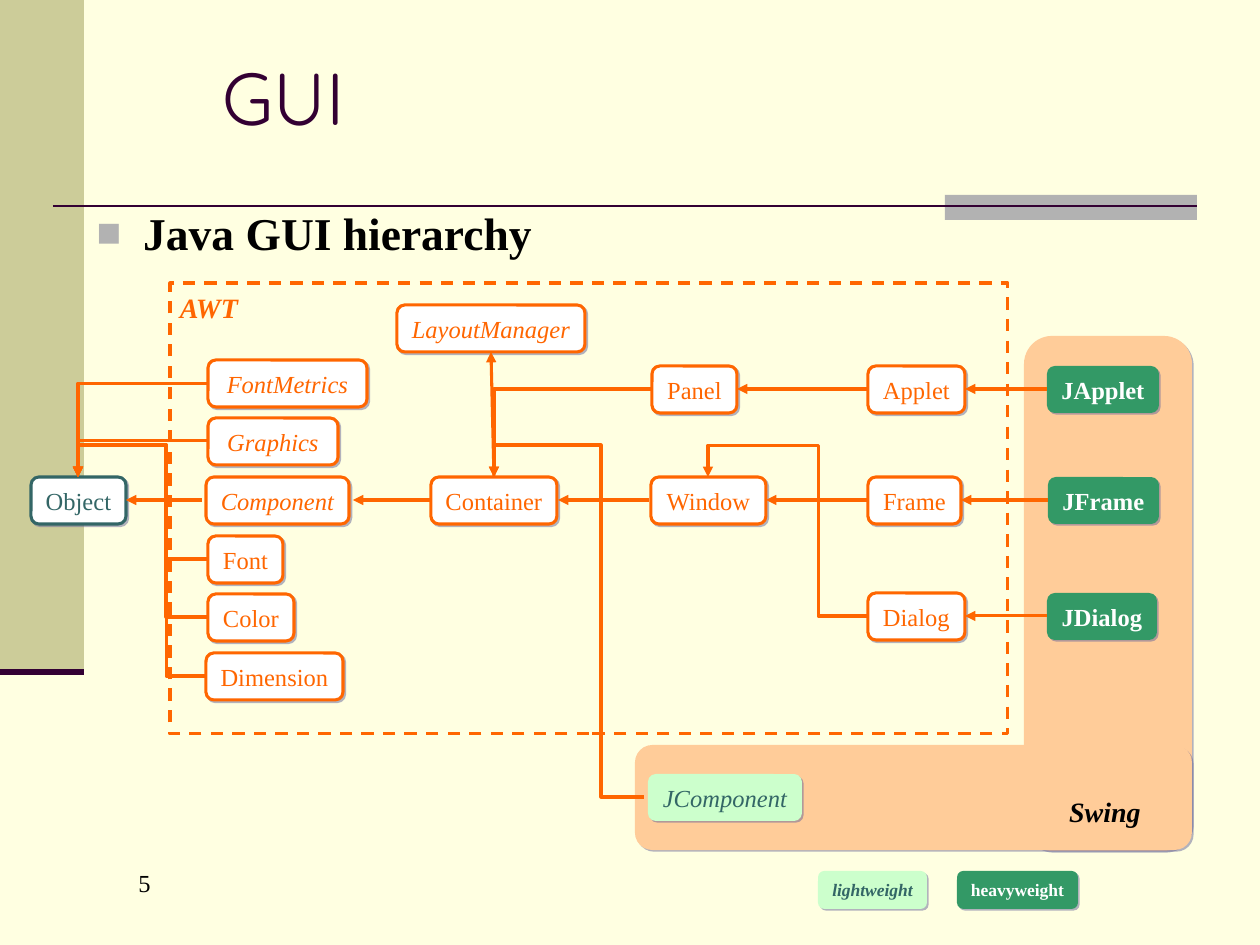
from dataclasses import dataclass

from lxml.etree import SubElement
from pptx import Presentation
from pptx.dml.color import RGBColor
from pptx.enum.dml import MSO_LINE
from pptx.enum.shapes import MSO_CONNECTOR, MSO_SHAPE
from pptx.enum.text import MSO_ANCHOR, MSO_AUTO_SIZE, PP_ALIGN
from pptx.oxml.ns import qn
from pptx.util import Emu, Inches, Pt

PIXEL = 914400 // 126


@dataclass(frozen=True)
class Theme:
    paper: str = "FFFFE1"
    olive: str = "CCCC99"
    grey: str = "B2B2B2"
    plum: str = "330033"
    ink: str = "000000"
    white: str = "FFFFFF"
    orange: str = "FF6600"
    peach: str = "FFCC99"
    teal: str = "336666"
    mint: str = "CCFFCC"
    green: str = "339966"
    shade: str = "666699"
    serif: str = "Times New Roman"
    display: str = "Quicksand"
    title_size: float = 42
    body_size: float = 26
    group_size: float = 16
    node_size: float = 14
    legend_size: float = 10
    stroke: float = 1.76


THEME = Theme()


def px(value):
    return Emu(round(value * PIXEL))


def write(shape, text, size=THEME.node_size, color=THEME.ink, font=THEME.serif,
          bold=False, italic=False, align=PP_ALIGN.LEFT, anchor=MSO_ANCHOR.TOP, wrap=False):
    frame = shape.text_frame
    frame.word_wrap = wrap
    frame.auto_size = MSO_AUTO_SIZE.NONE
    frame.vertical_anchor = anchor
    paragraph = frame.paragraphs[0]
    paragraph.alignment = align
    run = paragraph.add_run()
    run.text = text
    run.font.size = Pt(size)
    run.font.name = font
    run.font.bold = bold
    run.font.italic = italic
    run.font.color.rgb = RGBColor.from_string(color)
    return paragraph


class HierarchySlide:
    def __init__(self, theme, slide):
        self.theme = theme
        self.slide = slide
        background = slide.background.fill
        background.solid()
        background.fore_color.rgb = RGBColor.from_string(theme.paper)

    def placeholder(self, index, area, text, **style):
        holder = self.slide.placeholders[index]
        holder.left, holder.top, holder.width, holder.height = map(px, area)
        return write(holder, text, wrap=True, **style)

    def bullet(self, paragraph):
        paragraph.space_before = Pt(6.5)
        properties = paragraph._p.get_or_add_pPr()
        properties.set("marL", str(Inches(0.37)))
        properties.set("indent", str(-Inches(0.37)))
        color = SubElement(properties, qn("a:buClr"))
        SubElement(color, qn("a:srgbClr"), val=self.theme.grey)
        SubElement(properties, qn("a:buSzPct"), val="90000")
        SubElement(properties, qn("a:buChar"), char="■")

    def label(self, area, text, **style):
        write(self.slide.shapes.add_textbox(*map(px, area)), text, **style)

    def panel(self, area, fill=None, line=None, rounded=False, shadow=False, dash=None):
        kind = MSO_SHAPE.ROUNDED_RECTANGLE if rounded else MSO_SHAPE.RECTANGLE
        shape = self.slide.shapes.add_shape(kind, *map(px, area))
        shape.shadow.inherit = False
        if fill:
            shape.fill.solid()
            shape.fill.fore_color.rgb = RGBColor.from_string(fill)
        else:
            shape.fill.background()
        if line:
            shape.line.color.rgb = RGBColor.from_string(line)
            shape.line.width = Pt(self.theme.stroke)
            shape.line.dash_style = dash
        else:
            shape.line.fill.background()
        if shadow:
            effects = shape._element.spPr.find(qn("a:effectLst"))
            outer = SubElement(effects, qn("a:outerShdw"), blurRad="0", dist=str(Pt(1.4)),
                               dir="2700000", algn="ctr", rotWithShape="0")
            color = SubElement(outer, qn("a:srgbClr"), val=self.theme.shade)
            SubElement(color, qn("a:alpha"), val="50000")
        return shape

    def node(self, area, text, fill, line, color, **style):
        shape = self.panel(area, fill, line, rounded=True, shadow=True)
        write(shape, text, color=color, align=PP_ALIGN.CENTER,
              anchor=MSO_ANCHOR.MIDDLE, **style)

    def line(self, start, end, color, width, arrow=False, kind=MSO_CONNECTOR.STRAIGHT):
        connector = self.slide.shapes.add_connector(kind, *map(px, (*start, *end)))
        connector.line.color.rgb = RGBColor.from_string(color)
        connector.line.width = Pt(width)
        if arrow:
            SubElement(connector.line._get_or_add_ln(), qn("a:tailEnd"), type="triangle")
        SubElement(connector._element.spPr, qn("a:effectLst"))
        return connector

    def arrow(self, start, end):
        self.line(start, end, self.theme.orange, self.theme.stroke, arrow=True)

    def elbow(self, start, end, bus=None, crest=445):
        """Run left from start, then into end from above; a bus adds a detour over the crest."""
        connector = self.line(start, end, self.theme.orange, self.theme.stroke,
                              arrow=True, kind=MSO_CONNECTOR.ELBOW)
        properties = connector._element.spPr
        frame = properties.find(qn("a:xfrm"))
        # A half turn stands in for the two flips
        frame.set("rot", "10800000")
        frame.set("flipH", "0")
        frame.set("flipV", "0" if bus else "1")
        geometry = properties.find(qn("a:prstGeom"))
        geometry.set("prst", "bentConnector4" if bus else "bentConnector2")
        if bus:
            guides = geometry.find(qn("a:avLst"))
            ratios = ((start[0] - bus) / (start[0] - end[0]),
                      (start[1] - crest) / (start[1] - end[1]))
            for number, ratio in enumerate(ratios, 1):
                SubElement(guides, qn("a:gd"), name=f"adj{number}",
                           fmla=f"val {round(ratio * 100000)}")


deck = Presentation()
deck.slide_width, deck.slide_height = Inches(10), Inches(7.5)
page = HierarchySlide(THEME, deck.slides.add_slide(deck.slide_layouts[1]))

# Side band, header rule and accent
page.panel((0, 0, 84, 672), THEME.olive)
page.panel((945, 195, 252, 25), THEME.grey)
page.line((53, 206), (1197, 206), THEME.plum, 1.5)
page.line((0, 672), (84, 672), THEME.plum, 3.49)

# Title, heading and page number
page.placeholder(0, (210, 42, 966, 109), "GUI", size=THEME.title_size, color=THEME.plum,
                 font=THEME.display, anchor=MSO_ANCHOR.MIDDLE)
page.bullet(page.placeholder(1, (84, 199, 1092, 630), "Java GUI hierarchy",
                             size=THEME.body_size, bold=True))
page.label((126, 862, 273, 63), "5")

# Swing region
for region in ((1024, 336, 168, 515), (635, 745, 557, 105)):
    page.panel(region, THEME.peach, rounded=True, shadow=True)

# Class boxes: left, top, width, look
LOOKS = {
    "root": dict(fill=THEME.white, line=THEME.teal, color=THEME.teal),
    "awt": dict(fill=THEME.white, line=THEME.orange, color=THEME.orange),
    "abstract": dict(fill=THEME.white, line=THEME.orange, color=THEME.orange, italic=True),
    "light": dict(fill=THEME.mint, line=None, color=THEME.teal, italic=True),
    "heavy": dict(fill=THEME.green, line=None, color=THEME.white, bold=True),
}
NODE_HEIGHT = 47
CLASSES = {
    "Object": (31, 477, 95, "root"),
    "FontMetrics": (208, 360, 159, "abstract"),
    "Graphics": (208, 418, 130, "abstract"),
    "Component": (206, 477, 143, "abstract"),
    "Font": (208, 536, 75, "awt"),
    "Color": (208, 594, 86, "awt"),
    "Dimension": (206, 653, 137, "awt"),
    "LayoutManager": (397, 305, 188, "abstract"),
    "Container": (431, 477, 126, "awt"),
    "Panel": (652, 366, 85, "awt"),
    "Window": (651, 477, 115, "awt"),
    "Applet": (868, 366, 97, "awt"),
    "Frame": (868, 477, 93, "awt"),
    "Dialog": (868, 593, 97, "awt"),
    "JComponent": (648, 774, 154, "light"),
    "JApplet": (1047, 366, 112, "heavy"),
    "JFrame": (1048, 477, 111, "heavy"),
    "JDialog": (1047, 593, 110, "heavy"),
}
for name, (left, top, width, look) in CLASSES.items():
    page.node((left, top, width, NODE_HEIGHT), name, **LOOKS[look])


def left_of(name, gap=0):
    left, top, _, _ = CLASSES[name]
    return left - gap, top + NODE_HEIGHT // 2


def right_of(name, gap=0):
    left, top, width, _ = CLASSES[name]
    return left + width + gap, top + NODE_HEIGHT // 2


def top_of(name):
    left, top, width, _ = CLASSES[name]
    return left + width // 2, top


# Straight inheritance arrows: child, parent, gap at each end
for child, parent, child_gap, parent_gap in (
        ("Component", "Object", 4, 0), ("Container", "Component", 0, 4),
        ("Window", "Container", 2, 1), ("Frame", "Window", 0, 0),
        ("Applet", "Panel", 0, 0), ("JApplet", "Applet", 0, 0),
        ("JFrame", "Frame", 0, 0), ("JDialog", "Dialog", 0, 0)):
    page.arrow(left_of(child, child_gap), right_of(parent, parent_gap))
page.arrow(top_of("Container"), (491, 352))

# Bent inheritance arrows: child, parent, bus position, gap at the child
for child, parent, bus, gap in (
        ("FontMetrics", "Object", None, 0), ("Graphics", "Object", None, 0),
        ("Font", "Object", 166, 0), ("Color", "Object", 166, 0),
        ("Dimension", "Object", 166, 0), ("Panel", "Container", None, 0),
        ("JComponent", "Container", 601, 4), ("Dialog", "Window", 818, 0)):
    page.elbow(left_of(child, gap), top_of(parent), bus)

# AWT frame and group names
page.panel((170, 283, 838, 451), line=THEME.orange, dash=MSO_LINE.DASH)
for area, name, color in (((1057, 788, 96, 47), "Swing", THEME.ink),
                          ((166, 284, 86, 47), "AWT", THEME.orange)):
    page.label(area, name, size=THEME.group_size, color=color, bold=True, italic=True,
               align=PP_ALIGN.CENTER, anchor=MSO_ANCHOR.MIDDLE)

# Legend
for left, width, name, look in ((818, 109, "lightweight", "light"),
                                (957, 121, "heavyweight", "heavy")):
    page.node((left, 871, width, 38), name, size=THEME.legend_size,
              **{**LOOKS[look], "bold": True})

deck.save("out.pptx")
